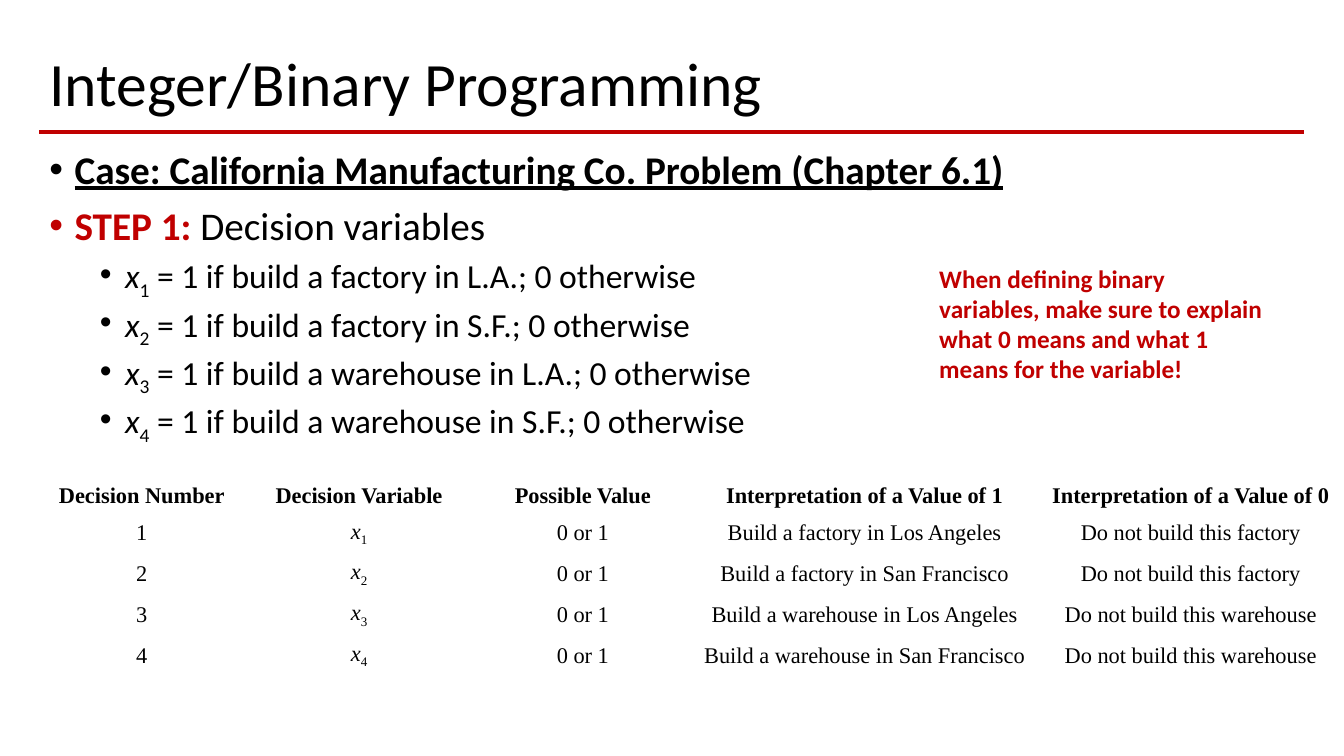
from dataclasses import dataclass, field

from lxml.etree import SubElement
from pptx import Presentation
from pptx.dml.color import RGBColor
from pptx.enum.shapes import MSO_CONNECTOR
from pptx.enum.text import MSO_ANCHOR, PP_ALIGN
from pptx.oxml.ns import qn
from pptx.slide import Slide
from pptx.table import _Cell
from pptx.text.text import TextFrame, _Paragraph
from pptx.util import Pt

BLACK = RGBColor(0x00, 0x00, 0x00)
RED = RGBColor(0xC0, 0x00, 0x00)
BODY_FONT = "Calibri"
TABLE_FONT = "Times New Roman"
LEFT, WIDTH = 28.2, 903.6


@dataclass
class Piece:
    text: str
    color: RGBColor = BLACK
    subscript: bool = False
    values: dict = field(default_factory=dict)


@dataclass
class Line:
    pieces: list[Piece]
    size: float
    indent: float | None = None
    paragraph_values: dict = field(default_factory=dict)


@dataclass
class Box:
    left: float
    top: float
    width: float
    height: float
    lines: list[Line]
    anchor: MSO_ANCHOR = MSO_ANCHOR.TOP


@dataclass
class Decision:
    building: str
    short_city: str
    city: str


def variable(number: int) -> list[Piece]:
    return [Piece("x", values={"italic": True}), Piece(str(number), subscript=True)]


def set_bullet(paragraph: _Paragraph, indent: float) -> None:
    properties = paragraph._p.get_or_add_pPr()
    properties.set("marL", str(Pt(indent)))
    properties.set("indent", str(Pt(-18)))
    SubElement(properties, qn("a:buFont"), typeface="Arial")
    SubElement(properties, qn("a:buChar"), char="•")


def write_line(paragraph: _Paragraph, line: Line, font_name: str) -> None:
    for name, value in line.paragraph_values.items():
        setattr(paragraph, name, value)
    if line.indent is not None:
        set_bullet(paragraph, line.indent)
    for piece in line.pieces:
        run = paragraph.add_run()
        run.text = piece.text
        values = {"name": font_name, "size": Pt(line.size), **piece.values}
        for name, value in values.items():
            setattr(run.font, name, value)
        run.font.color.rgb = piece.color
        if piece.subscript:
            run._r.get_or_add_rPr().set("baseline", "-25000")


def write_lines(frame: TextFrame, lines: list[Line]) -> None:
    for index, line in enumerate(lines):
        paragraph = frame.add_paragraph() if index else frame.paragraphs[0]
        write_line(paragraph, line, BODY_FONT)


def add_box(slide: Slide, box: Box) -> None:
    position = (Pt(value) for value in (box.left, box.top, box.width, box.height))
    frame = slide.shapes.add_textbox(*position).text_frame
    frame.word_wrap = True
    frame.vertical_anchor = box.anchor
    write_lines(frame, box.lines)


def add_rule(slide: Slide) -> None:
    rule = slide.shapes.add_connector(
        MSO_CONNECTOR.STRAIGHT, Pt(LEFT), Pt(94.3), Pt(LEFT + WIDTH), Pt(94.3)
    )
    rule.line.color.rgb = RED
    rule.line.width = Pt(2.25)
    SubElement(rule._element.spPr, qn("a:effectLst"))


def fill_cell(cell: _Cell, pieces: list[Piece], anchor: MSO_ANCHOR) -> None:
    cell.fill.background()
    cell.vertical_anchor = anchor
    cell.margin_left = cell.margin_right = Pt(3.6)
    cell.margin_top = cell.margin_bottom = Pt(3.6)
    line = Line(pieces, 16, paragraph_values={"alignment": PP_ALIGN.CENTER})
    write_line(cell.text_frame.paragraphs[0], line, TABLE_FONT)


def add_decision_table(slide: Slide, decisions: list[Decision]) -> None:
    headers = [
        "Decision Number",
        "Decision Variable",
        "Possible Value",
        "Interpretation of a Value of 1",
        "Interpretation of a Value of 0",
    ]
    widths = [146.2, 164.2, 155.5, 247, 218.9]
    heights = [28.8] + [27.6] * len(decisions)
    table = slide.shapes.add_table(
        len(heights), len(widths), Pt(LEFT), Pt(337.7), Pt(sum(widths)), Pt(sum(heights))
    ).table
    table.first_row = table.horz_banding = False
    for column, width in zip(table.columns, widths):
        column.width = Pt(width)
    for row, height in zip(table.rows, heights):
        row.height = Pt(height)
    for column, header in enumerate(headers):
        pieces = [Piece(header, values={"bold": True})]
        fill_cell(table.cell(0, column), pieces, MSO_ANCHOR.BOTTOM)
    for number, decision in enumerate(decisions, 1):
        contents = [
            [Piece(str(number))],
            variable(number),
            [Piece("0 or 1")],
            [Piece(f"Build a {decision.building} in {decision.city}")],
            [Piece(f"Do not build this {decision.building}")],
        ]
        for column, pieces in enumerate(contents):
            fill_cell(table.cell(number, column), pieces, MSO_ANCHOR.MIDDLE)


def main() -> None:
    presentation = Presentation()
    presentation.slide_width = Pt(960)
    presentation.slide_height = Pt(540)
    slide = presentation.slides.add_slide(presentation.slide_layouts[6])

    decisions = [
        Decision("factory", "L.A.", "Los Angeles"),
        Decision("factory", "S.F.", "San Francisco"),
        Decision("warehouse", "L.A.", "Los Angeles"),
        Decision("warehouse", "S.F.", "San Francisco"),
    ]
    tight = {"line_spacing": 0.9}
    case = Piece(
        "Case: California Manufacturing Co. Problem (Chapter 6.1)",
        values={"bold": True, "underline": True},
    )
    step = [Piece("STEP 1: ", RED, values={"bold": True}), Piece("Decision variables")]
    body = [
        Line([case], 28, 18, tight),
        Line(step, 28, 18, {**tight, "space_before": Pt(10)}),
    ]
    for number, decision in enumerate(decisions, 1):
        meaning = f" = 1 if build a {decision.building} in {decision.short_city}; 0 otherwise"
        pieces = variable(number) + [Piece(meaning)]
        body.append(Line(pieces, 24, 54, {**tight, "space_before": Pt(5)}))
    advice = Piece(
        "When defining binary variables, make sure to explain "
        "what 0 means and what 1 means for the variable!",
        RED,
        values={"bold": True},
    )
    title = Line([Piece("Integer/Binary Programming")], 44, paragraph_values=tight)

    add_rule(slide)
    add_box(slide, Box(LEFT, 28.8, WIDTH, 66.2, [title], MSO_ANCHOR.MIDDLE))
    add_box(slide, Box(LEFT, 103.7, WIDTH, 383, body))
    add_decision_table(slide, decisions)
    add_box(slide, Box(663.8, 184.3, 250.6, 94.3, [Line([advice], 18)]))
    presentation.save("out.pptx")


if __name__ == "__main__":
    main()
